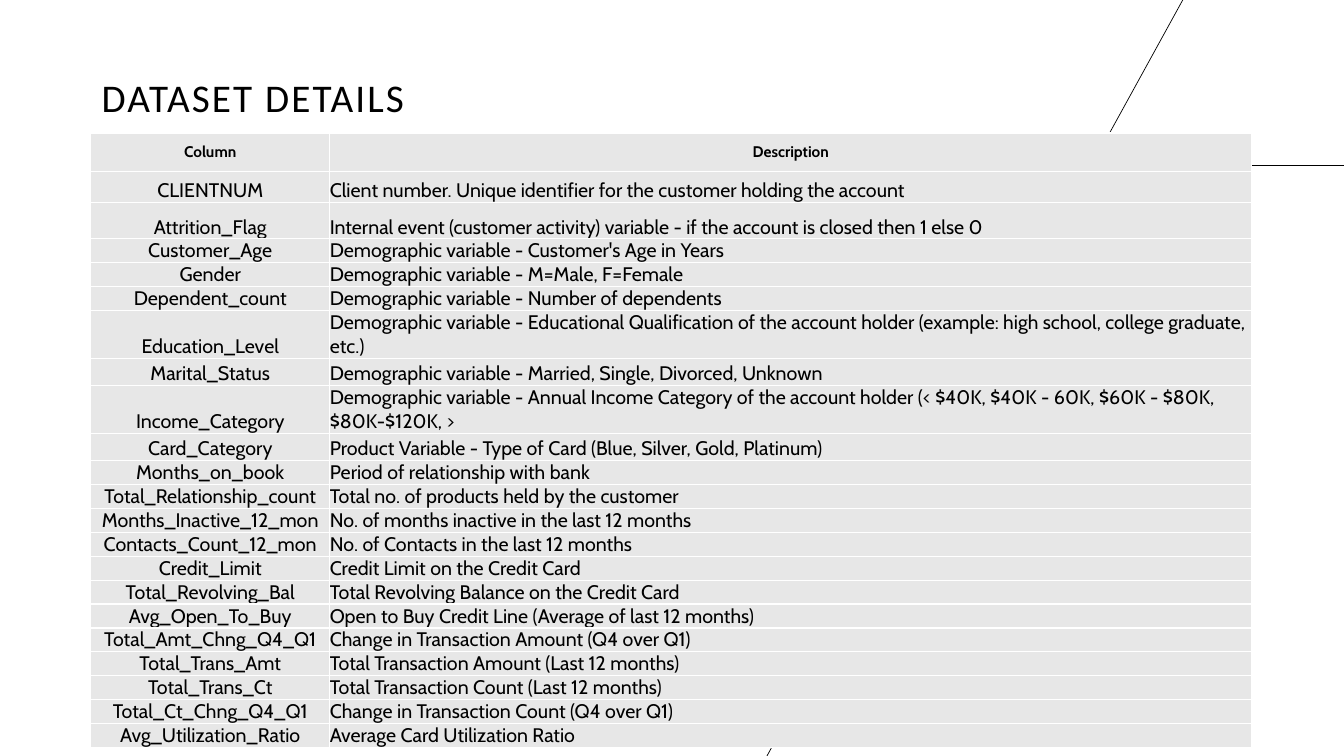
"""Build the dataset details slide: a title, two accent lines and a column glossary."""
from dataclasses import dataclass

from lxml import etree
from pptx import Presentation
from pptx import util as u
from pptx.dml.color import RGBColor
from pptx.enum import shapes, text
from pptx.oxml import ns


@dataclass(frozen=True)
class Theme:
    ink: str = "000000"
    cell: str = "E7E7E7"
    border: str = "FFFFFF"
    title_font: str = "Calibri"
    table_font: str = "Cabin"
    title_size: float = 28
    header_size: float = 11
    body_size: float = 14
    hairline: float = 0.5
    border_width: float = 1


ROW = 0.48
GLOSSARY = [
    ("Column", "Description", 0.97),
    ("CLIENTNUM", "Client number. Unique identifier for the customer holding the account", 0.79),
    ("Attrition_Flag",
     "Internal event (customer activity) variable - if the account is closed then 1 else 0", 0.91),
    ("Customer_Age", "Demographic variable - Customer's Age in Years", ROW),
    ("Gender", "Demographic variable - M=Male, F=Female", ROW),
    ("Dependent_count", "Demographic variable - Number of dependents", ROW),
    ("Education_Level",
     "Demographic variable - Educational Qualification of the account holder "
     "(example: high school, college graduate, etc.)", 0.81),
    ("Marital_Status", "Demographic variable - Married, Single, Divorced, Unknown", 0.69),
    ("Income_Category",
     "Demographic variable - Annual Income Category of the account holder "
     "(< $40K, $40K - 60K, $60K - $80K, $80K-$120K, >", 0.81),
    ("Card_Category", "Product Variable - Type of Card (Blue, Silver, Gold, Platinum)", 0.69),
    ("Months_on_book", "Period of relationship with bank", ROW),
    ("Total_Relationship_count", "Total no. of products held by the customer", ROW),
    ("Months_Inactive_12_mon", "No. of months inactive in the last 12 months", 0.56),
    ("Contacts_Count_12_mon", "No. of Contacts in the last 12 months", ROW),
    ("Credit_Limit", "Credit Limit on the Credit Card", ROW),
    ("Total_Revolving_Bal", "Total Revolving Balance on the Credit Card", 0.56),
    ("Avg_Open_To_Buy", "Open to Buy Credit Line (Average of last 12 months)", 0.56),
    ("Total_Amt_Chng_Q4_Q1", "Change in Transaction Amount (Q4 over Q1)", ROW),
    ("Total_Trans_Amt", "Total Transaction Amount (Last 12 months)", 0.56),
    ("Total_Trans_Ct", "Total Transaction Count (Last 12 months)", ROW),
    ("Total_Ct_Chng_Q4_Q1", "Change in Transaction Count (Q4 over Q1)", ROW),
    ("Avg_Utilization_Ratio", "Average Card Utilization Ratio", ROW),
]


def write(frame, wording, *, font, size, color, bold=False,
          align=text.PP_ALIGN.LEFT, leading=None, tracking=None):
    paragraph = frame.paragraphs[0]
    paragraph.alignment = align
    if leading:
        paragraph.line_spacing = leading
    run = paragraph.add_run()
    run.text = wording
    run.font.name = font
    run.font.size = u.Pt(size)
    run.font.bold = bold
    run.font.color.rgb = RGBColor.from_string(color)
    if tracking:
        run.font._element.set("spc", str(int(tracking * 100)))


class SlideBuilder:
    def __init__(self, slide, theme):
        self.slide = slide
        self.theme = theme

    def title(self, wording, left, top, width, height):
        heading = self.slide.shapes.title
        heading.left, heading.top = u.Cm(left), u.Cm(top)
        heading.width, heading.height = u.Cm(width), u.Cm(height)
        frame = heading.text_frame
        frame.auto_size = text.MSO_AUTO_SIZE.NONE
        frame.vertical_anchor = text.MSO_ANCHOR.BOTTOM
        write(frame, wording, font=self.theme.title_font, size=self.theme.title_size,
              color=self.theme.ink, leading=0.9, tracking=1.5)

    def line(self, *ends):
        accent = self.slide.shapes.add_connector(
            shapes.MSO_CONNECTOR.STRAIGHT, *(u.Cm(end) for end in ends))
        accent.line.color.rgb = RGBColor.from_string(self.theme.ink)
        accent.line.width = u.Pt(self.theme.hairline)
        etree.SubElement(accent._element.spPr, ns.qn("a:effectLst"))

    def cell(self, cell, wording, *, header, centred):
        cell.margin_left = cell.margin_right = cell.margin_top = cell.margin_bottom = 0
        cell.vertical_anchor = text.MSO_ANCHOR.MIDDLE if header else text.MSO_ANCHOR.BOTTOM
        cell.fill.solid()
        cell.fill.fore_color.rgb = RGBColor.from_string(self.theme.cell)
        self.borders(cell)
        write(cell.text_frame, wording, font=self.theme.table_font, color=self.theme.ink,
              size=self.theme.header_size if header else self.theme.body_size, bold=header,
              align=text.PP_ALIGN.CENTER if centred else text.PP_ALIGN.LEFT)

    def borders(self, cell):
        properties = cell._tc.get_or_add_tcPr()
        for position, side in enumerate(("lnL", "lnR", "lnT", "lnB")):
            edge = etree.Element(ns.qn(f"a:{side}"), w=str(u.Pt(self.theme.border_width)))
            fill = etree.SubElement(edge, ns.qn("a:solidFill"))
            etree.SubElement(fill, ns.qn("a:srgbClr"), val=self.theme.border)
            properties.insert(position, edge)

    def table(self, rows, widths, left, top, width, height):
        holder = self.slide.shapes.add_table(
            len(rows), len(widths), u.Cm(left), u.Cm(top), u.Cm(width), u.Cm(height))
        grid = holder.table
        for column, column_width in zip(grid.columns, widths):
            column.width = u.Cm(column_width)
        for index, (name, description, row_height) in enumerate(rows):
            grid.rows[index].height = u.Cm(row_height)
            header = index == 0
            self.cell(grid.cell(index, 0), name, header=header, centred=True)
            self.cell(grid.cell(index, 1), description, header=header, centred=header)
        holder.width, holder.height = u.Cm(width), u.Cm(height)


def main():
    deck = Presentation()
    deck.slide_width, deck.slide_height = u.Cm(33.87), u.Cm(19.05)
    builder = SlideBuilder(deck.slides.add_slide(deck.slide_layouts[5]), Theme())
    builder.line(25.27, 4.17, 33.87, 4.17)
    builder.line(29.85, -0.08, 19.3, 19.1)
    builder.title("DATASET DETAILS", 2.31, 1.3, 14.2, 1.88)
    builder.table(GLOSSARY, (6.02, 23.24), 2.29, 3.35, 29.24, 15.37)
    deck.save("out.pptx")


if __name__ == "__main__":
    main()
